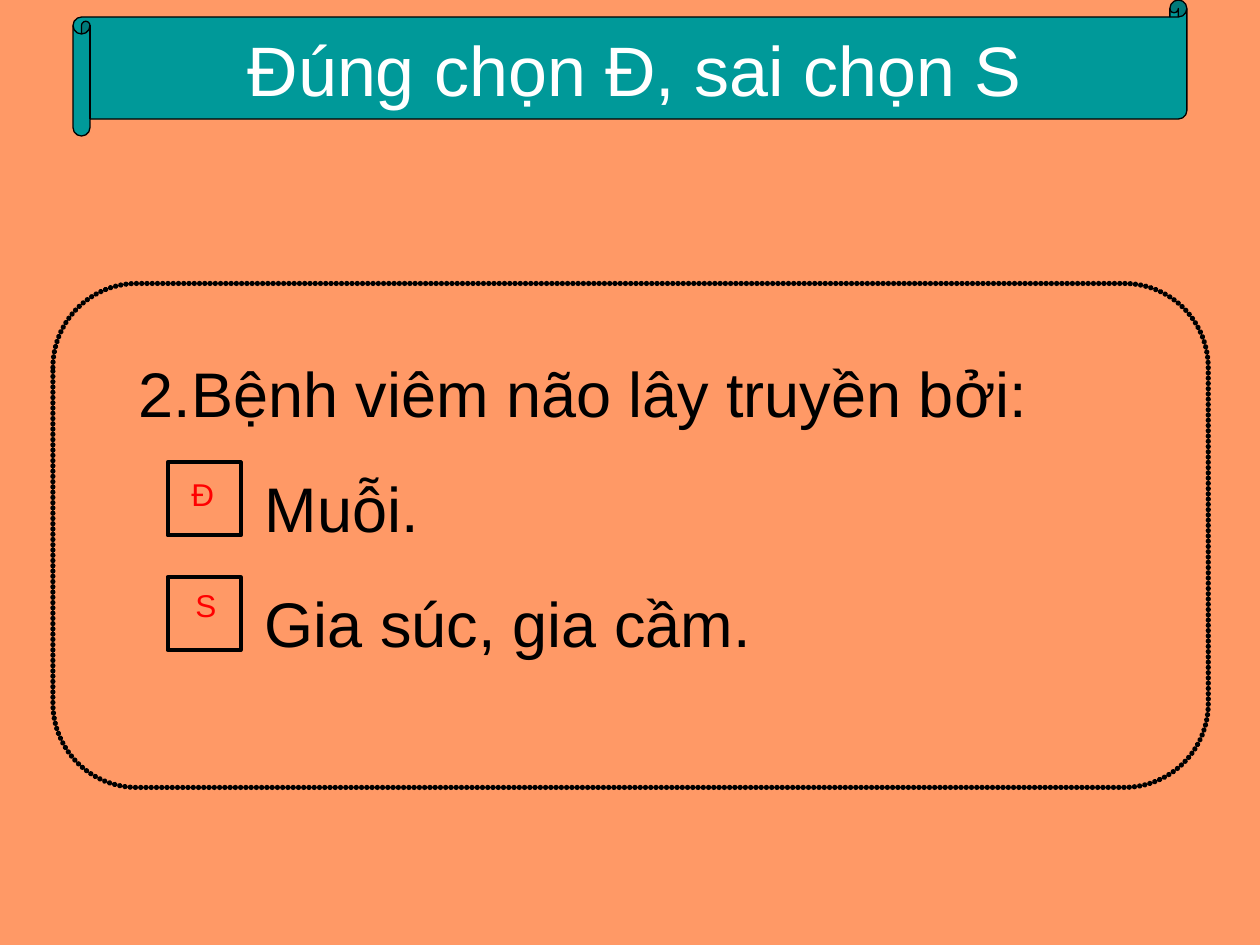
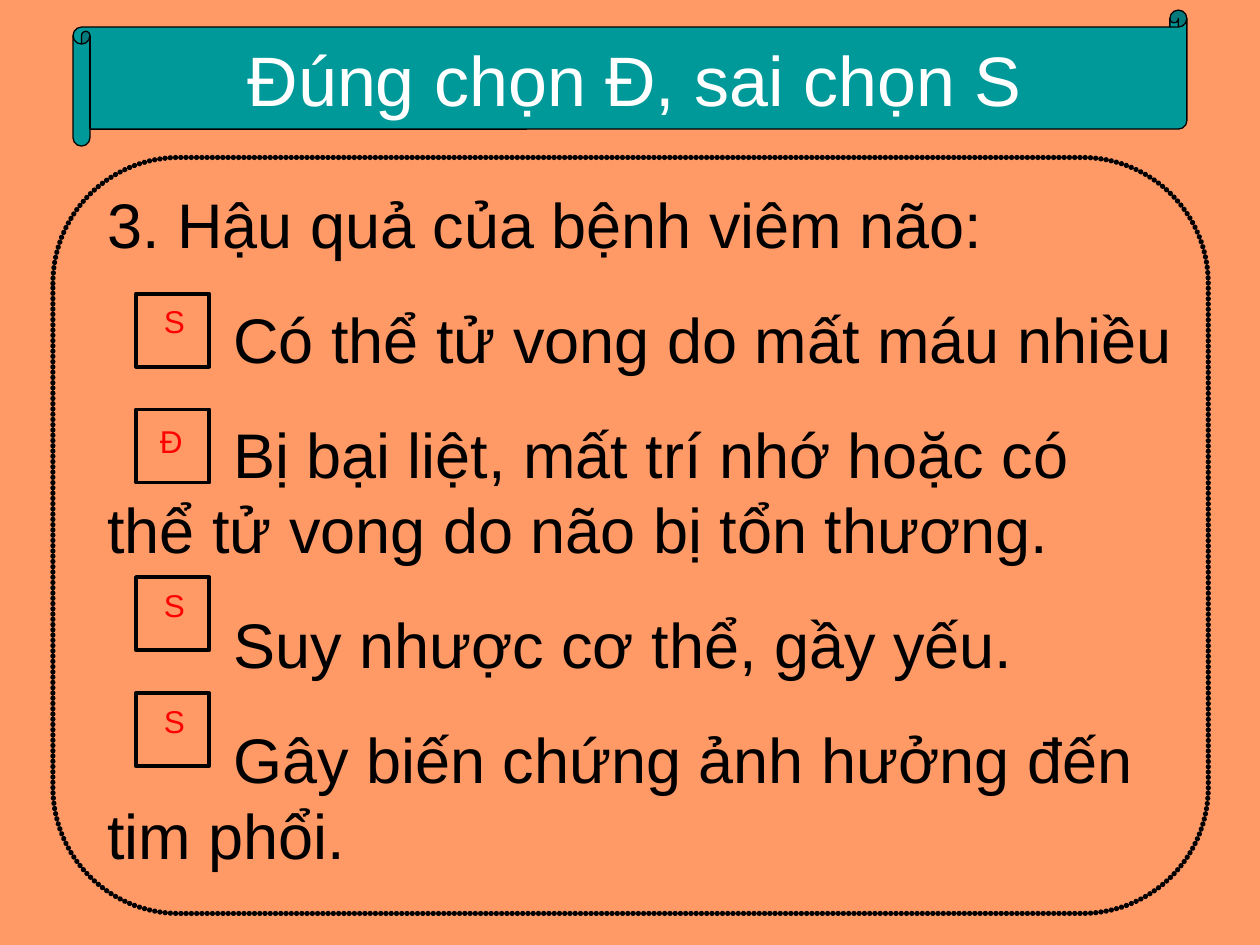
from lxml.etree import SubElement
from pptx import Presentation
from pptx.dml.color import RGBColor
from pptx.enum.shapes import MSO_SHAPE
from pptx.enum.text import MSO_ANCHOR, MSO_AUTO_SIZE, PP_ALIGN
from pptx.oxml.ns import qn
from pptx.util import Inches, Pt

COLORS = {
    "background": "FF9966",
    "banner": "009999",
    "title": "FFFFFF",
    "ink": "000000",
    "answer": "FF0000",
}
FONT = "Arial"
TITLE = "Đúng chọn Đ, sai chọn S"
BOX_SIZE = 0.58

# Place of each answer letter: offset from its box, then width and height
LETTER_PLACES = {"Đ": (0.02, 0.05, 0.52, 0.47), "S": (0.09, 0.02, 0.43, 0.54)}

QUIZ_SLIDES = [
    {
        "banner_top": 0,
        "frame": (2.25, 4),
        "body": (1, 2.76, 8.08, 3.44),
        "question": "2.Bệnh viêm não lây truyền bởi:",
        "options": ["Muỗi.", "Gia súc, gia cầm."],
        "box_left": 1.33,
        "answers": [("Đ", 3.67), ("S", 4.58)],
    },
    {
        "banner_top": 0.08,
        "frame": (1.25, 6),
        "body": (0.75, 1.42, 8.67, 6.05),
        "question": "3. Hậu quả của bệnh viêm não:",
        "options": [
            "Có thể tử vong do mất máu nhiều",
            "Bị bại liệt, mất trí nhớ hoặc có thể tử vong do não bị tổn thương.",
            "Suy nhược cơ thể, gầy yếu.",
            "Gây biến chứng ảnh hưởng đến tim phổi.",
        ],
        "box_left": 1.08,
        "answers": [("S", 2.33), ("Đ", 3.25), ("S", 4.58), ("S", 5.5)],
    },
]


def write_text(shape, lines, size, color, align=PP_ALIGN.LEFT,
               anchor=MSO_ANCHOR.TOP, wrap=True, space_before=0, indent=0):
    frame = shape.text_frame
    frame.word_wrap = wrap
    frame.auto_size = MSO_AUTO_SIZE.NONE
    frame.vertical_anchor = anchor
    for index, line in enumerate(lines):
        paragraph = frame.paragraphs[0] if index == 0 else frame.add_paragraph()
        paragraph.alignment = align
        paragraph.space_before = Pt(space_before)
        run = paragraph.add_run()
        run.text = line
        run.font.name = FONT
        run.font.size = Pt(size)
        run.font.color.rgb = RGBColor.from_string(COLORS[color])
        # No bullet; lines after the first start with an indent
        properties = paragraph._p.get_or_add_pPr()
        properties.set("marL", "0")
        properties.set("indent", str(Inches(indent if index else 0)))
        SubElement(properties, qn("a:buNone"))


def add_outline(slide, preset, place, line_width, fill=None):
    shape = slide.shapes.add_shape(preset, *map(Inches, place))
    shape.shadow.inherit = False
    if fill:
        shape.fill.solid()
        shape.fill.fore_color.rgb = RGBColor.from_string(COLORS[fill])
    else:
        shape.fill.background()
    shape.line.color.rgb = RGBColor.from_string(COLORS["ink"])
    shape.line.width = Pt(line_width)
    return shape


presentation = Presentation()
presentation.slide_width = Inches(10)
presentation.slide_height = Inches(7.5)

# Shared background
background = presentation.slide_master.background.fill
background.solid()
background.fore_color.rgb = RGBColor.from_string(COLORS["background"])

for quiz in QUIZ_SLIDES:
    slide = presentation.slides.add_slide(presentation.slide_layouts[1])
    title, body = slide.placeholders

    # Scroll banner and frame
    top = quiz["banner_top"]
    banner = add_outline(slide, MSO_SHAPE.HORIZONTAL_SCROLL,
                         (0.58, top, 8.84, 1.08), 0.75, fill="banner")
    frame_top, frame_height = quiz["frame"]
    frame = add_outline(slide, MSO_SHAPE.ROUNDED_RECTANGLE,
                        (0.42, frame_top, 9.17, frame_height), 3)

    # Round dots, one line width apart
    line = frame.line._get_or_add_ln()
    line.set("cap", "rnd")
    dash = SubElement(line, qn("a:custDash"))
    SubElement(dash, qn("a:ds"), d="1000", sp="99000")

    # Title on the banner, question and options in the frame
    places = [(title, (0.72, top, 8.63, 1.08)), (body, quiz["body"])]
    for placeholder, place in places:
        (placeholder.left, placeholder.top,
         placeholder.width, placeholder.height) = map(Inches, place)
        slide.shapes._spTree.append(placeholder._element)
    write_text(title, [TITLE], size=40, color="title", align=PP_ALIGN.CENTER,
               anchor=MSO_ANCHOR.MIDDLE, wrap=False)
    write_text(body, [quiz["question"], *quiz["options"]], size=36,
               color="ink", space_before=22.5, indent=1)

    # Answer boxes with their letters
    box_left = quiz["box_left"]
    for letter, box_top in quiz["answers"]:
        add_outline(slide, MSO_SHAPE.RECTANGLE,
                    (box_left, box_top, BOX_SIZE, BOX_SIZE), 2.25)
        shift_x, shift_y, width, height = LETTER_PLACES[letter]
        label = slide.shapes.add_textbox(
            Inches(box_left + shift_x), Inches(box_top + shift_y),
            Inches(width), Inches(height))
        write_text(label, [letter], size=18, color="answer",
                   align=PP_ALIGN.CENTER, wrap=False)

presentation.save("out.pptx")
